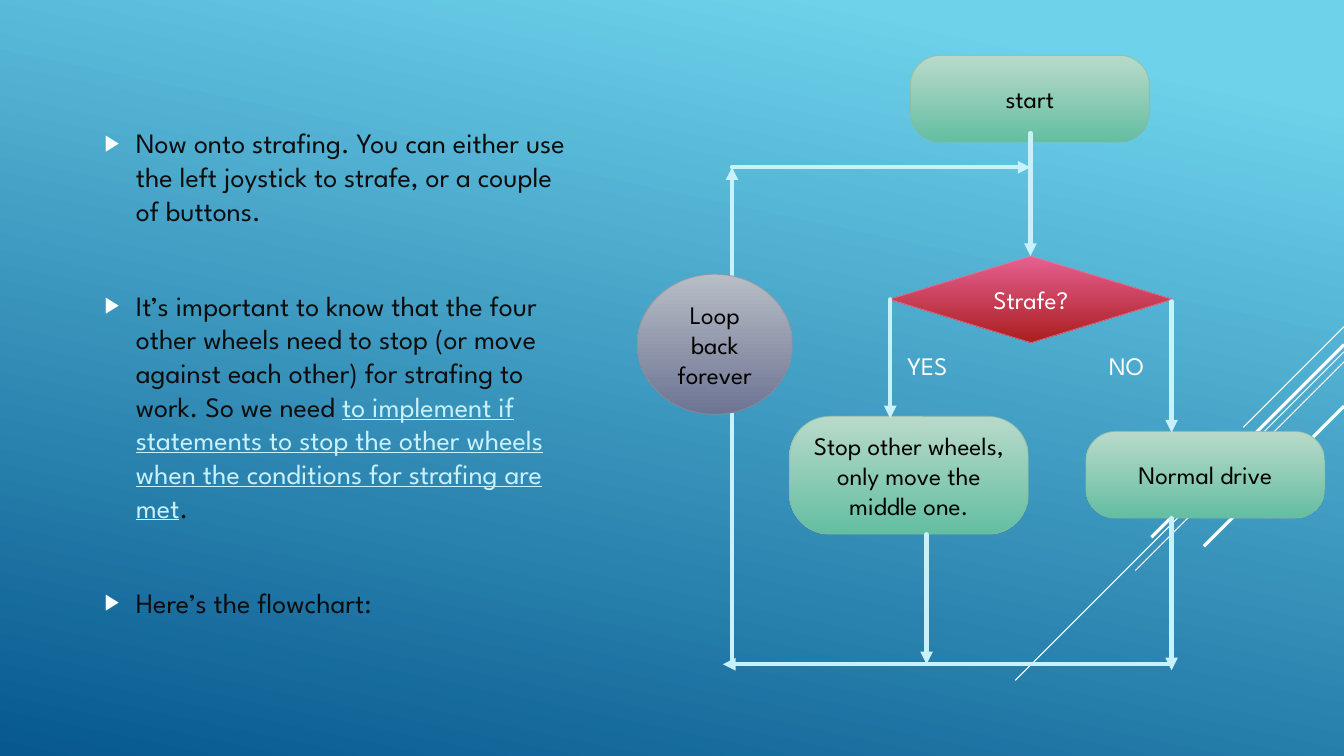
from lxml import etree
from pptx import Presentation
from pptx.dml.color import RGBColor
from pptx.enum.shapes import MSO_CONNECTOR, MSO_SHAPE as Kind
from pptx.enum.text import MSO_ANCHOR, PP_ALIGN
from pptx.oxml.ns import qn
from pptx.util import Inches, Pt

FONT = "League Spartan"
BLACK, WHITE = RGBColor(0, 0, 0), RGBColor(255, 255, 255)
INK, ICE = RGBColor(0x0D, 0x0D, 0x0D), RGBColor(0xC8, 0xF1, 0xFB)
SKY, DEEP = RGBColor(0x6E, 0xD2, 0xEB), RGBColor(0x06, 0x58, 0x8E)

# Node styles: gradient top, gradient bottom, outline, text
GREEN = (RGBColor(0xB9, 0xDA, 0xCA), RGBColor(0x63, 0xBE, 0xA2),
         RGBColor(0x8A, 0xB7, 0xA1), BLACK)
RED = (RGBColor(0xE6, 0x60, 0x91), RGBColor(0xAA, 0x1E, 0x1F),
       RGBColor(0xD6, 0x8B, 0xA6), WHITE)
GREY = (RGBColor(0xB8, 0xBE, 0xC6), RGBColor(0x6C, 0x74, 0x93),
        RGBColor(0x89, 0x91, 0x9C), BLACK)

# Each bullet is a list of (text, highlighted) spans
BULLETS = [
    [("Now onto strafing. You can either use the left joystick to strafe, "
      "or a couple of buttons.", False)],
    [("It’s important to know that the four other wheels need to stop (or move "
      "against each other) for strafing to work. So we need ", False),
     ("to implement if statements to stop the other wheels when the conditions "
      "for strafing are met", True),
     (".", False)],
    [("Here’s the flowchart:", False)],
]

# Flowchart grid in inches
LOOP_X, YES_X, STOP_X, SPINE_X, NO_X = 7.26, 8.83, 9.19, 10.22, 11.62
JOIN_Y, RETURN_Y = 1.66, 6.59
NODE_W, NODE_H = 2.37, 0.86

# Text, shape, style, left, top, width, height
NODES = [
    ("start", Kind.ROUNDED_RECTANGLE, GREEN, 9.03, 0.55, NODE_W, NODE_H),
    ("Normal drive", Kind.ROUNDED_RECTANGLE, GREEN, 10.77, 4.28, NODE_W, NODE_H),
    ("Stop other wheels, only move the middle one.",
     Kind.ROUNDED_RECTANGLE, GREEN, 7.83, 4.13, NODE_W, 1.17),
    ("Strafe?", Kind.DIAMOND, RED, 8.82, 2.54, 2.81, NODE_H),
]
LOOP_NODE = ("Loop back forever", Kind.OVAL, GREY, 6.32, 2.72, 1.54, 1.39)
LABELS = [("YES", 8.9), ("NO", 10.9)]
ARROWS = [
    (SPINE_X, 1.32, SPINE_X, 2.54),
    (YES_X, 2.97, YES_X, 4.15),
    (NO_X, 2.99, NO_X, 4.29),
    (NO_X, 5.14, NO_X, 6.65),
    (STOP_X, 5.3, STOP_X, RETURN_Y),
    (NO_X, RETURN_Y, 7.17, RETURN_Y),
    (LOOP_X, 6.61, LOOP_X, JOIN_Y),
    (LOOP_X, JOIN_Y, SPINE_X, JOIN_Y),
]

# Diagonals run at 45 degrees from the right edge: start y, run, weight
RIGHT = 13.33
DIAGONALS = [(3.24, 1, 0.75), (3.49, 3.26, 0.75), (3.59, 2.07, 0.75),
             (3.42, 1.91, 2.25), (4.03, 1.39, 2.25)]


def set_gradient(fill, top, bottom, angle=90, start=0):
    fill.gradient()
    fill.gradient_angle = 360 - angle
    for stop, color, position in zip(fill.gradient_stops, (top, bottom), (start, 1)):
        stop.color.rgb = color
        stop.position = position


def add_line(shapes, ends, color, weight, arrow=False):
    line = shapes.add_connector(MSO_CONNECTOR.STRAIGHT, *map(Inches, ends))
    line.line.color.rgb = color
    line.line.width = Pt(weight)
    properties = line._element.spPr
    etree.SubElement(properties, qn("a:effectLst"))
    if arrow:
        outline = properties.find(qn("a:ln"))
        outline.set("cap", "rnd")
        etree.SubElement(outline, qn("a:tailEnd"), type="triangle")


def style_font(para, size, color):
    para.font.name, para.font.size = FONT, Pt(size)
    para.font.color.rgb = color


def add_node(shapes, text, kind, style, *place):
    top, bottom, edge, ink = style
    node = shapes.add_shape(kind, *map(Inches, place))
    node.shadow.inherit = False
    if kind == Kind.ROUNDED_RECTANGLE:
        node.adjustments[0] = 0.343
    set_gradient(node.fill, top, bottom)
    node.line.color.rgb = edge
    node.line.width = Pt(0.75)
    edge_color = node._element.spPr.find(qn("a:ln")).find(".//" + qn("a:srgbClr"))
    etree.SubElement(edge_color, qn("a:alpha"), val="60000")
    frame = node.text_frame
    frame.word_wrap, frame.vertical_anchor = True, MSO_ANCHOR.MIDDLE
    para = frame.paragraphs[0]
    para.text, para.alignment = text, PP_ALIGN.CENTER
    style_font(para, 18, ink)


def add_text_box(shapes, *place):
    frame = shapes.add_textbox(*map(Inches, place)).text_frame
    frame.word_wrap = True
    return frame


def add_bullet(para):
    properties = para._p.get_or_add_pPr()
    properties.set("marL", str(Inches(0.31)))
    properties.set("indent", str(-Inches(0.31)))
    color = etree.SubElement(properties, qn("a:buClr"))
    etree.SubElement(color, qn("a:srgbClr"), val=str(WHITE))
    etree.SubElement(properties, qn("a:buSzPct"), val="80000")
    etree.SubElement(properties, qn("a:buFont"), typeface="Arial")
    etree.SubElement(properties, qn("a:buChar"), char="▶")


deck = Presentation()
deck.slide_width, deck.slide_height = Inches(RIGHT), Inches(7.5)
page = deck.slides.add_slide(deck.slide_layouts[6])

# Background and diagonal accents
set_gradient(page.background.fill, SKY, DEEP, angle=102, start=0.1)
accents = page.shapes.add_group_shape().shapes
for y, run, weight in DIAGONALS:
    add_line(accents, (RIGHT, y, RIGHT - run, y + run), WHITE, weight)

# Bulleted explanation
frame = add_text_box(page.shapes, 0.94, 1.2, 4.87, 5.1)
for index, spans in enumerate(BULLETS):
    para = frame.add_paragraph() if index else frame.paragraphs[0]
    para.space_before, para.space_after = Pt(38 if index else 0), Pt(6)
    add_bullet(para)
    style_font(para, 20, INK)
    for text, highlighted in spans:
        span = para.add_run()
        span.text = text
        if highlighted:
            span.font.color.rgb = ICE
            span.font.underline = True

# Flowchart
flow = page.shapes.add_group_shape().shapes
for node in NODES:
    add_node(flow, *node)
for text, left in LABELS:
    label = add_text_box(flow, left, 3.43, 0.81, 0.71).paragraphs[0]
    label.text = text
    style_font(label, 18, WHITE)
for ends in ARROWS:
    add_line(flow, ends, ICE, 3, arrow=True)
add_node(flow, *LOOP_NODE)

deck.save("out.pptx")
